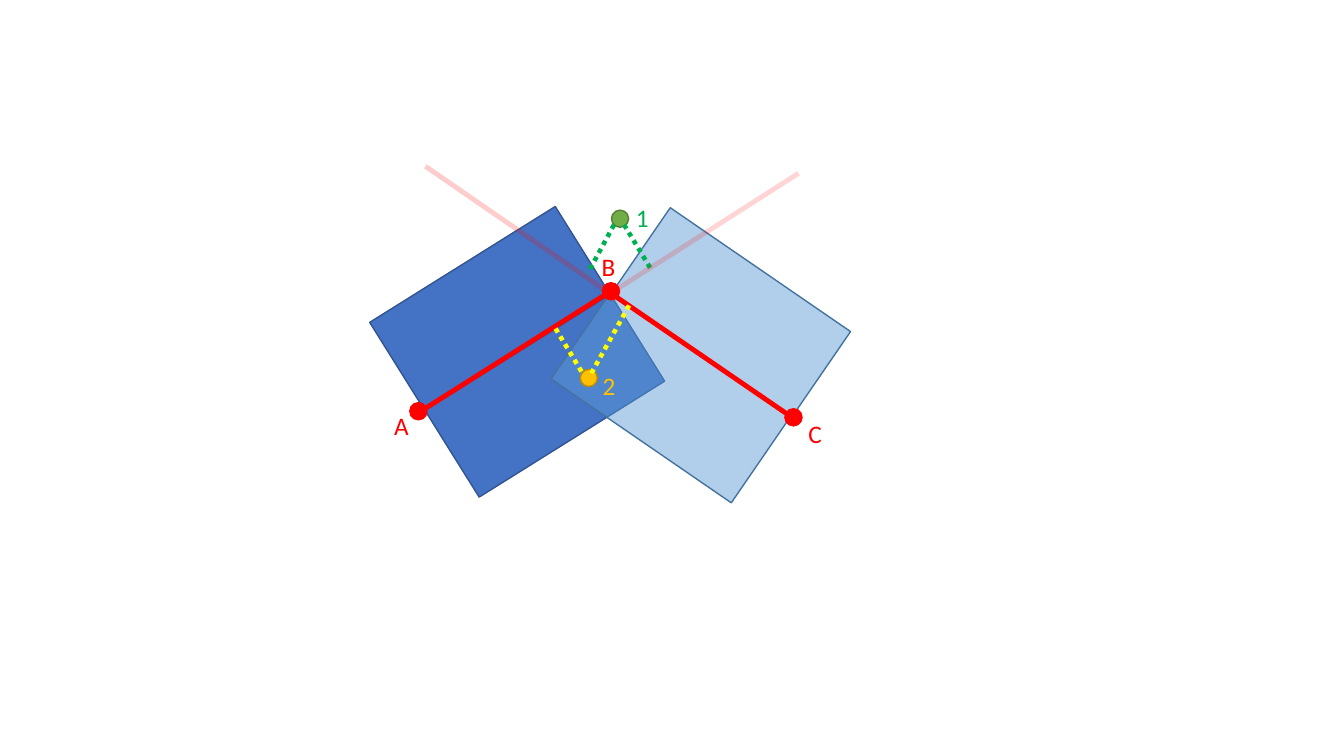
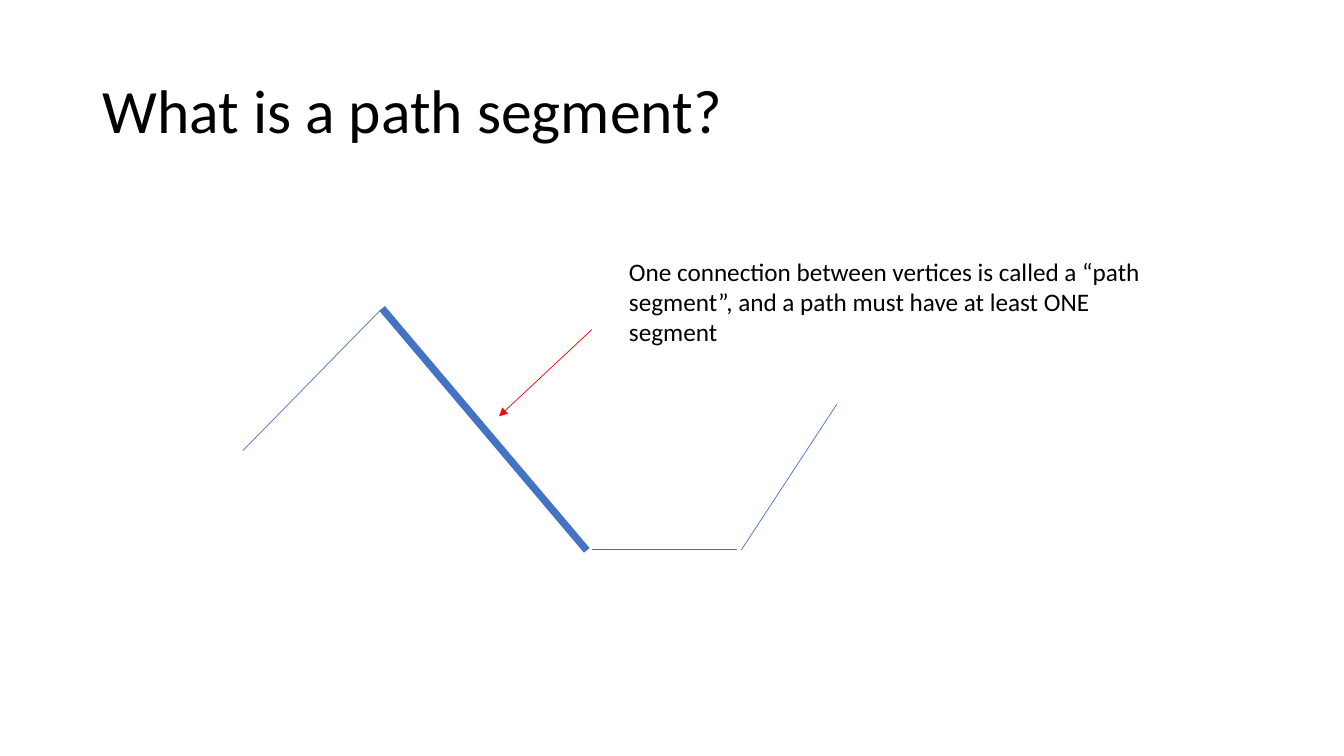
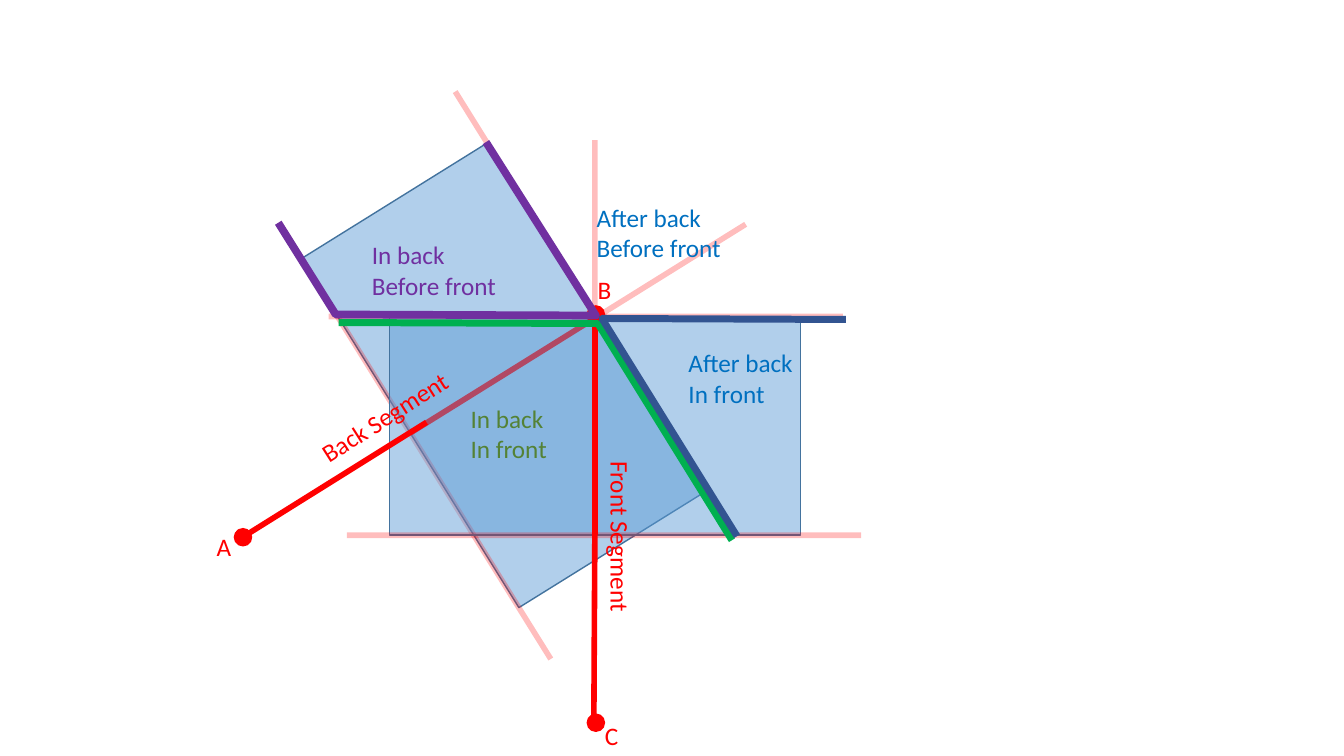
"""Build three slides on path segments and the areas around them."""
from dataclasses import dataclass
from math import cos, radians, sin

from lxml import etree
from pptx import Presentation
from pptx.dml.color import RGBColor
from pptx.enum.dml import MSO_LINE
from pptx.enum.shapes import MSO_CONNECTOR, MSO_SHAPE
from pptx.enum.text import MSO_ANCHOR, MSO_AUTO_SIZE, PP_ALIGN
from pptx.oxml.ns import qn
from pptx.util import Inches, Pt

RECTANGLE, OVAL = MSO_SHAPE.RECTANGLE, MSO_SHAPE.OVAL
STRAIGHT = MSO_CONNECTOR.STRAIGHT
DOTTED = MSO_LINE.ROUND_DOT
MIDDLE, LEFT = MSO_ANCHOR.MIDDLE, PP_ALIGN.LEFT
FIT_SHAPE, NO_FIT = MSO_AUTO_SIZE.SHAPE_TO_FIT_TEXT, MSO_AUTO_SIZE.NONE

COLUMNS, ROWS = 13.33, 7.5
CELL = Inches(1)
TITLE_ONLY, BLANK = 5, 6

BLACK, RED, YELLOW, GOLD = "000000", "FF0000", "FFFF00", "FFC000"
BLUE, NAVY, SKY, STEEL, AZURE = "4472C4", "325491", "5B9BD5", "43739E", "0070C0"
GREEN, LEAF, FOREST, MOSS, PURPLE = "00B050", "70AD47", "538035", "548235", "7030A0"
BROWN = "BD8E00"

BODY_FONT = {"name": "Calibri", "size": Pt(18)}
TITLE_FONT = {"name": "Calibri", "size": Pt(44)}
TITLE_PLACE = {"left": 0.92, "top": 0.4, "width": 11.5, "height": 1.45}
TITLE_FRAME = {"vertical_anchor": MIDDLE, "auto_size": NO_FIT, "word_wrap": True}
TITLE_PARA = {"alignment": LEFT, "line_spacing": 0.9}

DOT_SIZE = 0.17
BAND_LENGTH, BAND_WIDTH = 2.17, 4.08
BAND_LONG, BAND_SHORT, BAND_BEHIND = 2.64, 2.46, 1.75

Point = tuple[float, float]


@dataclass
class Tile:
    """A rotated rectangle given by its centre."""
    center: Point
    width: float
    height: float
    rotation: float
    fill: str = SKY
    edge: str = STEEL
    opacity: int = 47


@dataclass
class Stroke:
    """A straight line."""
    start: Point
    end: Point
    color: str = RED
    weight: float = 3.5
    opacity: int = 100
    dotted: bool = False
    arrow: bool = False


@dataclass
class Dot:
    """A round marker given by its centre."""
    center: Point
    fill: str = RED
    edge: str = RED


@dataclass
class Label:
    """A piece of text, one paragraph per line."""
    text: str
    left: float
    top: float
    width: float = 0.34
    color: str = RED
    rotation: float = 0
    rows: int = 1
    wrap: bool = False


@dataclass
class Outline:
    """An open line through several points."""
    points: list[Point]
    color: str
    weight: float = 5


def rgb(code: str) -> RGBColor:
    """Return the colour of a hex string."""
    return RGBColor.from_string(code)


def cells(*counts: float) -> list[int]:
    """Turn grid counts into slide lengths."""
    return [round(count * CELL) for count in counts]


def apply(target: object, values: dict) -> None:
    """Set each named attribute of the target."""
    for name, value in values.items():
        setattr(target, name, value)


def fade(shape, opacity: int) -> None:
    """Make the colours set so far partly transparent."""
    if opacity < 100:
        for color in shape.element.spPr.iter(qn("a:srgbClr")):
            etree.SubElement(color, qn("a:alpha"), val=str(opacity * 1000))


def paint_line(shape, color: str, weight: float) -> None:
    """Set the line colour and width of a shape."""
    shape.line.color.rgb = rgb(color)
    shape.line.width = Pt(weight)


def add_filled(page, kind, center: Point, width: float, height: float,
               fill: str, edge: str, opacity: int = 100):
    """Add a filled preset shape around a centre."""
    left, top = center[0] - width / 2, center[1] - height / 2
    shape = page.shapes.add_shape(kind, *cells(left, top, width, height))
    shape.shadow.inherit = False
    shape.fill.solid()
    shape.fill.fore_color.rgb = rgb(fill)
    fade(shape, opacity)
    paint_line(shape, edge, 1)
    return shape


def draw_tile(page, tile: Tile) -> None:
    """Draw a rotated rectangle."""
    shape = add_filled(page, RECTANGLE, tile.center, tile.width, tile.height,
                       tile.fill, tile.edge, tile.opacity)
    shape.rotation = tile.rotation


def draw_dot(page, dot: Dot) -> None:
    """Draw a round marker."""
    add_filled(page, OVAL, dot.center, DOT_SIZE, DOT_SIZE, dot.fill, dot.edge)


def draw_stroke(page, stroke: Stroke) -> None:
    """Draw a straight line, dotted or with an arrowhead if asked."""
    line = page.shapes.add_connector(STRAIGHT, *cells(*stroke.start, *stroke.end))
    paint_line(line, stroke.color, stroke.weight)
    fade(line, stroke.opacity)
    if stroke.dotted:
        line.line.dash_style = DOTTED
    if stroke.arrow:
        etree.SubElement(line.element.spPr.find(qn("a:ln")), qn("a:tailEnd"), type="triangle")
    etree.SubElement(line.element.spPr, qn("a:effectLst"))


def draw_outline(page, outline: Outline) -> None:
    """Draw an open line through several points."""
    first, *others = [tuple(cells(*point)) for point in outline.points]
    builder = page.shapes.build_freeform(*first)
    builder.add_line_segments(others, close=False)
    shape = builder.convert_to_shape()
    shape.shadow.inherit = False
    shape.fill.background()
    paint_line(shape, outline.color, outline.weight)


def draw_label(page, label: Label) -> None:
    """Draw a text box."""
    height = 0.1 + 0.3 * label.rows
    box = page.shapes.add_textbox(*cells(label.left, label.top, label.width, height))
    box.rotation = label.rotation
    frame = box.text_frame
    frame.text = label.text
    apply(frame, {"word_wrap": label.wrap, "auto_size": FIT_SHAPE})
    for para in frame.paragraphs:
        for span in para.runs:
            apply(span.font, BODY_FONT)
            span.font.color.rgb = rgb(label.color)


DRAWERS = {Tile: draw_tile, Stroke: draw_stroke, Dot: draw_dot,
           Label: draw_label, Outline: draw_outline}


def draw_all(page, items: list) -> None:
    """Draw the items from back to front."""
    for item in items:
        DRAWERS[type(item)](page, item)


def set_title(page, text: str) -> None:
    """Fill and place the title placeholder."""
    title = page.shapes.title
    apply(title, {name: cells(count)[0] for name, count in TITLE_PLACE.items()})
    title.text = text
    apply(title.text_frame, TITLE_FRAME)
    para = title.text_frame.paragraphs[0]
    apply(para, TITLE_PARA)
    apply(para.runs[0].font, TITLE_FONT)
    para.runs[0].font.color.rgb = rgb(BLACK)


def band(pivot: Point, rotation: float) -> list:
    """Return the area along a segment from the pivot, with its border lines."""
    across, down = cos(radians(rotation)), sin(radians(rotation))

    def at(along: float, aside: float = 0) -> Point:
        """Return a point measured along and beside the segment."""
        return (pivot[0] + along * across - aside * down,
                pivot[1] + along * down + aside * across)

    borders = [(at(-BAND_BEHIND), pivot),
               (at(0, BAND_LONG), at(0, -BAND_SHORT)),
               (at(BAND_LENGTH, BAND_SHORT), at(BAND_LENGTH, -BAND_LONG))]
    return [Tile(at(BAND_LENGTH / 2), BAND_LENGTH, BAND_WIDTH, rotation),
            Stroke(pivot, at(BAND_LENGTH), weight=4),
            *(Stroke(start, end, weight=4, opacity=26) for start, end in borders)]


def draw_overlap(page) -> None:
    """Draw two overlapping areas with two sample points."""
    dark = {"fill": BLUE, "edge": NAVY, "opacity": 100}
    half = {"width": 2.17, "height": 1.03}
    dots = {"weight": 3.25, "dotted": True}
    draw_all(page, [
        Tile((5.4, 3.92), rotation=328, **half, **dark),
        Tile((6.65, 3.95), rotation=34.5, **half),
        Tile((7.25, 3.1), rotation=34.5, **half),
        Tile((4.86, 3.06), rotation=328, **half, **dark),
        Stroke((6.06, 2.91), (7.84, 4.13)),
        Stroke((4.19, 4.07), (6.04, 2.9)),
        *(Dot(center) for center in [(4.15, 4.08), (6.06, 2.89), (7.87, 4.14)]),
        Dot((6.15, 2.17), LEAF, FOREST),
        Dot((5.84, 3.75), GOLD, BROWN),
        Label("A", 3.81, 4.02),
        Label("B", 5.87, 2.44),
        Label("C", 7.92, 4.1),
        Label("2", 5.88, 3.62, color=GOLD),
        Label("1", 6.21, 1.96, color=GREEN),
        Stroke((5.51, 3.26), (5.77, 3.69), YELLOW, **dots),
        Stroke((6.24, 3.03), (5.85, 3.73), YELLOW, **dots),
        Stroke((6.09, 2.23), (5.83, 2.71), GREEN, **dots),
        Stroke((4.22, 1.65), (5.99, 2.87), opacity=20),
        Stroke((6.19, 2.23), (6.45, 2.66), GREEN, **dots),
        Stroke((6.07, 2.9), (7.92, 1.72), opacity=16),
    ])


def draw_definition(page) -> None:
    """Draw a path with one segment pointed out."""
    set_title(page, "What is a path segment?")
    draw_all(page, [
        Stroke((2.41, 4.47), (3.77, 3.08), BLUE, 0.5),
        Stroke((3.79, 3.06), (5.82, 5.46), BLUE, 5.25),
        Stroke((5.87, 5.45), (7.31, 5.45), BLUE, 0.5),
        Stroke((7.35, 5.46), (8.3, 4.01), BLUE, 0.5),
        Stroke((5.87, 3.27), (4.95, 4.13), RED, 0.5, arrow=True),
        Label("One connection between vertices is called a “path segment”, "
              "and a path must have at least ONE segment",
              6.14, 2.49, 5.6, BLACK, rows=3, wrap=True),
    ])


def draw_regions(page) -> None:
    """Draw the regions made by a back and a front segment."""
    draw_all(page, [
        *band((5.91, 3.15), 148.1),
        *band((5.9, 3.14), 90),
        *(Dot(center) for center in [(2.41, 5.33), (5.91, 3.12), (5.91, 7.17)]),
        Label("A", 2.05, 5.22),
        Label("B", 5.83, 2.67),
        Label("C", 5.9, 7.1),
        Label("In back\nBefore front", 3.59, 2.33, 1.45, PURPLE, rows=2),
        Label("In back\nIn front", 4.57, 3.95, 0.97, MOSS, rows=2),
        Stroke((4.23, 4.19), (2.39, 5.34), weight=4),
        Outline([(2.76, 2.21), (3.33, 3.12), (5.91, 3.13), (4.82, 1.41)], PURPLE, 5.5),
        Outline([(3.36, 3.2), (5.93, 3.21), (7.26, 5.36)], GREEN),
        Label("After back\nIn front", 6.73, 3.4, 1.25, AZURE, rows=2),
        Stroke((5.9, 5.26), (5.89, 7.17), weight=4),
        Outline([(8.39, 3.17), (5.97, 3.16), (7.31, 5.32)], NAVY),
        Label("After back\nBefore front", 5.82, 1.96, 1.45, AZURE, rows=2),
        Label("Back Segment", 3, 3.93, 1.64, rotation=327.5),
        Label("Front Segment", 5.3, 5.13, 1.71, rotation=90),
    ])


def main() -> None:
    """Build and save the deck."""
    deck = Presentation()
    deck.slide_width, deck.slide_height = cells(COLUMNS, ROWS)
    for layout, draw in [(BLANK, draw_overlap), (TITLE_ONLY, draw_definition),
                         (BLANK, draw_regions)]:
        draw(deck.slides.add_slide(deck.slide_layouts[layout]))
    deck.save("out.pptx")


if __name__ == "__main__":
    main()
